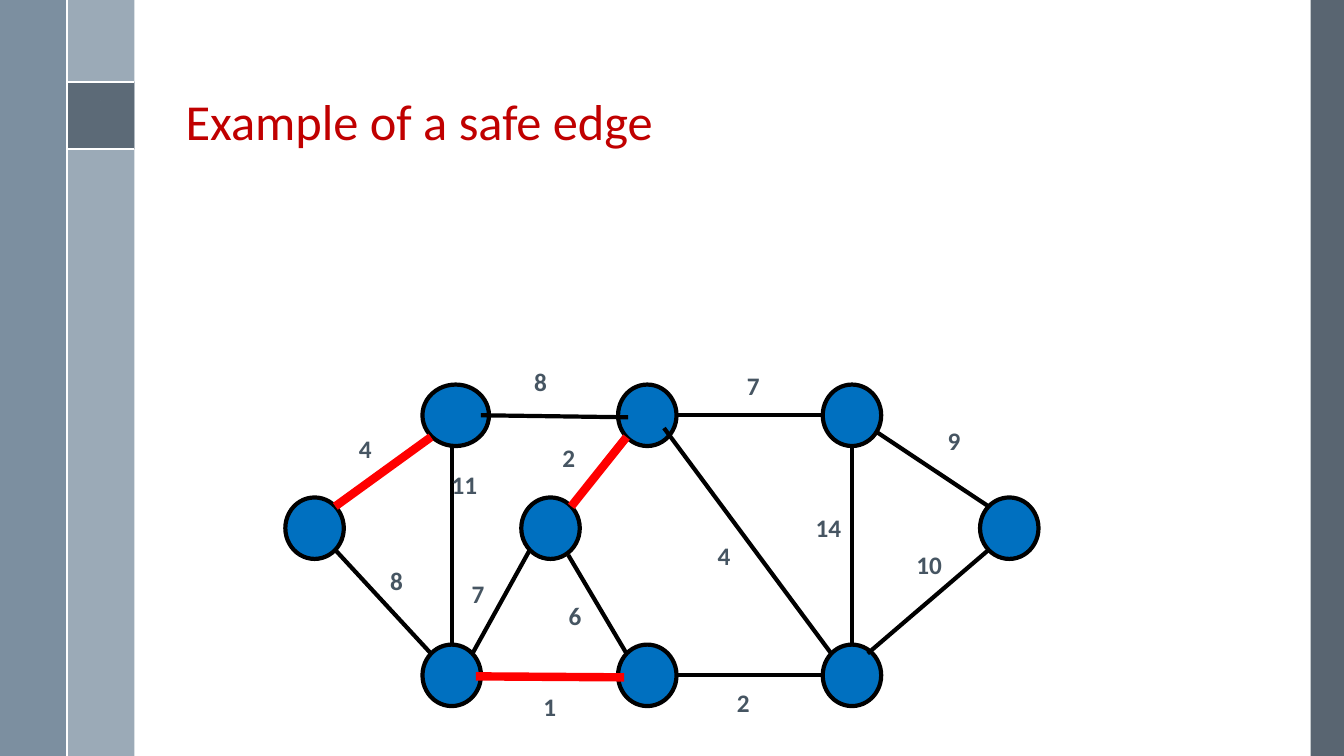
from lxml.etree import SubElement
from pptx import Presentation
from pptx.dml.color import RGBColor
from pptx.enum.shapes import MSO_CONNECTOR, MSO_SHAPE
from pptx.enum.text import MSO_ANCHOR, PP_ALIGN
from pptx.oxml.ns import qn
from pptx.util import Inches, Pt

W, H = 13.33, 7.5
COLORS = {
    "title": "C00000", "label": "465562", "node": "0070C0",
    "edge": "000000", "safe": "FF0000", "white": "FFFFFF",
    "slate": "475562", "mist": "9BAAB7", "steel": "6A8093",
}
TITLE = "Example of a safe edge"

# Side bands: left, top, width, height, colour, opacity in percent
BAND = W / 20
BADGE_TOP = 0.81
BANDS = [
    (13, 0, W - 13, H, "slate", 90),
    (BAND, 0, BAND, H, "mist", 100),
    (0, 0, BAND, H, "steel", 88),
    (BAND, BADGE_TOP, BAND, BAND, "slate", 75),
]
RULES = [
    ((BAND, BADGE_TOP), (2 * BAND, BADGE_TOP)),
    ((BAND, BADGE_TOP + BAND), (2 * BAND, BADGE_TOP + BAND)),
    ((BAND, 0), (BAND, H)),
]
PI_SIGN = [
    (1.18, 0.98), (0.9, 0.98), (0.87, 0.99), (0.85, 1.01), (0.83, 1.04),
    (0.84, 1.05), (0.85, 1.05), (0.87, 1.02), (0.9, 1.01), (0.94, 1.01),
    (0.93, 1.13), (0.91, 1.22), (0.88, 1.27), (0.88, 1.29), (0.89, 1.29),
    (0.9, 1.29), (0.94, 1.21), (0.96, 1.11), (0.97, 1.01), (1.06, 1.01),
    (1.05, 1.22), (1.05, 1.26), (1.07, 1.29), (1.1, 1.3), (1.12, 1.3),
    (1.15, 1.29), (1.18, 1.26), (1.19, 1.22), (1.18, 1.21), (1.16, 1.22),
    (1.14, 1.26), (1.11, 1.28), (1.08, 1.27), (1.07, 1.25), (1.07, 1.22),
    (1.09, 1.01), (1.18, 1.01), (1.19, 1),
]

# Graph: each node sits at a column and a row of centre lines
COLS = [3.12, 4.48, 5.46, 6.42, 8.45, 10.01]
ROWS = [4.12, 5.24, 6.7]
NODE_W, NODE_H, WIDE_NODE_W = 0.58, 0.61, 0.66
NODES = {
    "inner": (2, 1), "left": (0, 1), "right": (5, 1),
    "low right": (4, 2), "low mid": (3, 2), "low left": (1, 2),
    "top right": (4, 0), "top mid": (3, 0), "top left": (1, 0),
}
# Edge: from, to, weight, label left and top, colour
EDGES = [
    ("left", "low left", "8", (3.77, 5.56), "edge"),
    ("top mid", "low right", "4", (7.02, 5.31), "edge"),
    ("top mid", "top right", "7", (7.31, 3.62), "edge"),
    ("top left", "top mid", "8", (5.2, 3.58), "edge"),
    ("low left", "low mid", "1", (5.29, 6.81), "safe"),
    ("low mid", "low right", "2", (7.21, 6.77), "edge"),
    ("top right", "right", "9", (9.3, 4.17), "edge"),
    ("left", "top left", "4", (3.46, 4.25), "safe"),
    ("low right", "right", "10", (8.99, 5.4), "edge"),
    ("top left", "low left", "11", (4.38, 4.61), "edge"),
    ("top right", "low right", "14", (7.99, 5.03), "edge"),
    ("inner", "low mid", "6", (5.54, 5.91), "edge"),
    ("inner", "low left", "7", (4.58, 5.69), "edge"),
    ("top mid", "inner", "2", (5.48, 4.34), "safe"),
]
# Edge ends that stop off the node's rim: (node, other node) -> shift
SHIFTS = {
    ("top mid", "low right"): (-0.04, -0.09),
    ("top mid", "top left"): (0.1, 0.02),
    ("low left", "low mid"): (-0.05, 0.01),
    ("low mid", "low left"): (0.06, 0.02),
    ("top right", "right"): (0.04, -0.05),
    ("low right", "right"): (-0.05, 0),
    ("inner", "low mid"): (-0.03, 0.05),
}


def rgb(name):
    return RGBColor.from_string(COLORS[name])


def inches(*values):
    return [Inches(v) for v in values]


def paint(sp, fill, line=None, weight=0, opacity=100):
    sp.shadow.inherit = False
    sp.fill.solid()
    sp.fill.fore_color.rgb = rgb(fill)
    if opacity < 100:
        color = sp.fill._xPr.find(qn("a:solidFill"))[0]
        SubElement(color, qn("a:alpha"), val=str(opacity * 1000))
    if line:
        sp.line.color.rgb = rgb(line)
        sp.line.width = Pt(weight)
    else:
        sp.line.fill.background()


def add_line(s, start, end, color, weight):
    c = s.shapes.add_connector(MSO_CONNECTOR.STRAIGHT, *inches(*start, *end))
    c.line.color.rgb = rgb(color)
    c.line.width = Pt(weight)
    SubElement(c._element.spPr, qn("a:effectLst"))


def write(sp, text, size, color, bold=False, wrap=True,
          anchor=MSO_ANCHOR.TOP, spacing=1.0):
    tf = sp.text_frame
    tf.word_wrap = wrap
    tf.vertical_anchor = anchor
    p = tf.paragraphs[0]
    p.alignment = PP_ALIGN.LEFT
    p.line_spacing = spacing
    r = p.add_run()
    r.text = text
    r.font.name = "Calibri"
    r.font.size = Pt(size)
    r.font.bold = bold
    r.font.color.rgb = rgb(color)


def center(node):
    col, row = NODES[node]
    return COLS[col], ROWS[row]


def edge_end(node, other):
    """Point on the node's rim, at one of its eight sites, facing the other."""
    (x, y), (ox, oy) = center(node), center(other)
    dx, dy = (ox > x) - (ox < x), (oy > y) - (oy < y)
    reach = 0.71 if dx and dy else 1
    sx, sy = SHIFTS.get((node, other), (0, 0))
    return (x + dx * reach * NODE_W / 2 + sx,
            y + dy * reach * NODE_H / 2 + sy)


def add_frame(s):
    for *box, color, opacity in BANDS:
        sp = s.shapes.add_shape(MSO_SHAPE.RECTANGLE, *inches(*box))
        paint(sp, color, opacity=opacity)
    for start, end in RULES:
        add_line(s, start, end, "white", 1.5)
    fb = s.shapes.build_freeform(*PI_SIGN[0], scale=Inches(1))
    fb.add_line_segments(PI_SIGN[1:], close=True)
    paint(fb.convert_to_shape(), "white")


def add_graph(s):
    for node in NODES:
        x, y = center(node)
        width = WIDE_NODE_W if node == "top left" else NODE_W
        sp = s.shapes.add_shape(MSO_SHAPE.OVAL, *inches(
            x - NODE_W / 2, y - NODE_H / 2, width, NODE_H))
        paint(sp, "node", "edge", 3)
    for a, b, _, _, color in EDGES:
        add_line(s, edge_end(a, b), edge_end(b, a), color,
                 6 if color == "safe" else 3)
    for _, _, weight, spot, _ in EDGES:
        width = 0.42 if len(weight) == 1 else 0.55
        sp = s.shapes.add_textbox(*inches(*spot, width, 0.49))
        write(sp, weight, 18, "label", bold=True, wrap=False)


def main():
    prs = Presentation()
    prs.slide_width, prs.slide_height = inches(W, H)
    s = prs.slides.add_slide(prs.slide_layouts[5])
    add_frame(s)
    title = s.shapes.title
    title.left, title.top, title.width, title.height = inches(
        1.74, 0.19, 10.7, 1.36)
    write(title, TITLE, 36, "title", anchor=MSO_ANCHOR.BOTTOM, spacing=0.9)
    add_graph(s)
    prs.save("out.pptx")


if __name__ == "__main__":
    main()
